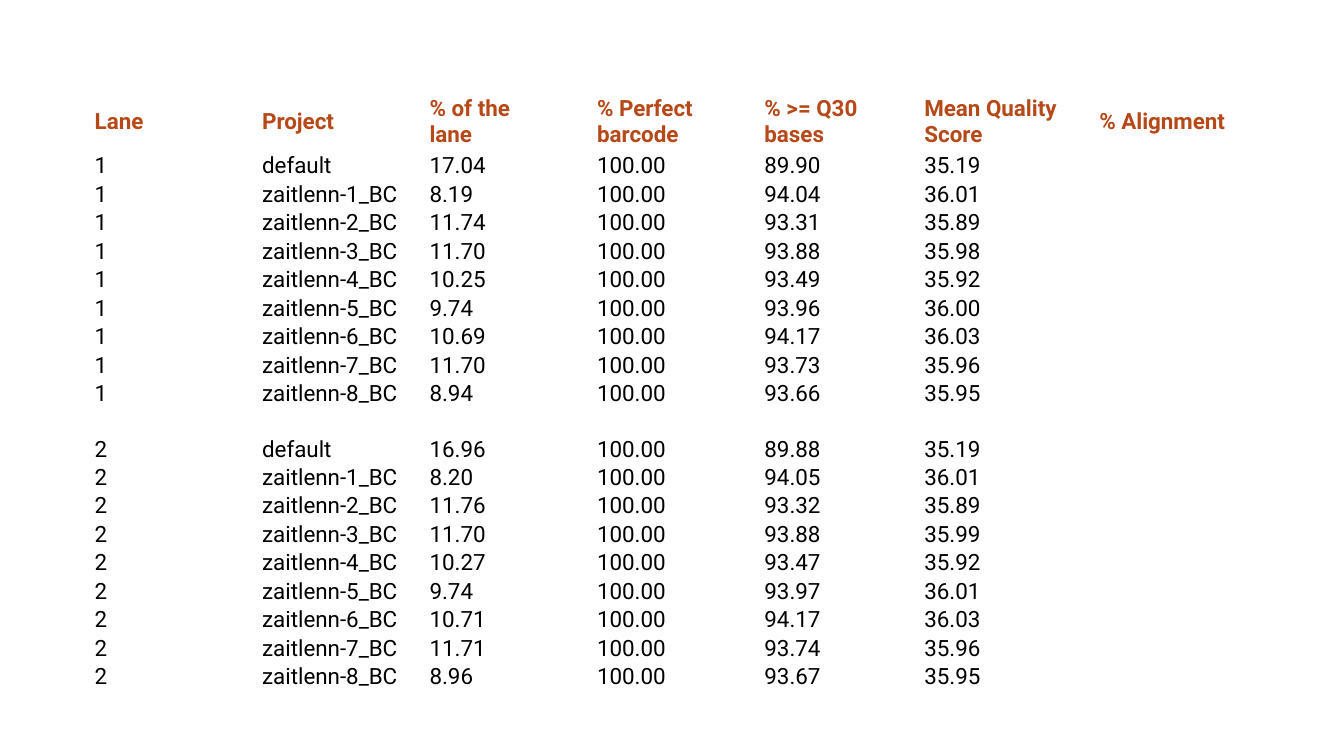
from dataclasses import dataclass

from lxml import etree
from pptx import Presentation
from pptx import util as u
from pptx.dml.color import RGBColor
from pptx.enum import text
from pptx.oxml import ns
from pptx.table import Table, _Cell

RUST = RGBColor(0xB7, 0x49, 0x19)
BLACK = RGBColor(0x00, 0x00, 0x00)
FONT = "Roboto"
NO_STYLE = "{2D5ABB26-0587-4C30-8999-92F81FD0307C}"

# Lengths in percent of the slide's width (columns) or height (rows)
LEFT, TOP = 6.9, 12
COLUMN_WIDTHS = [12.46] * 4 + [11.9, 13.02, 13.02]
HEADER_HEIGHT, LANE_START_HEIGHT, SAMPLE_HEIGHT, GAP_HEIGHT = 8.13, 3.07, 3.77, 3.6

HEADINGS = ["Lane", "Project", "% of the\nlane", "% Perfect\nbarcode",
            "% >= Q30\nbases", "Mean Quality\nScore", "% Alignment"]
PROJECTS = ["default"] + [f"zaitlenn-{number}_BC" for number in range(1, 9)]
PERFECT_BARCODE = "100.00"


@dataclass
class Lane:
    number: str
    shares: list[str]
    q30_bases: list[str]
    quality_scores: list[str]


@dataclass
class TableRow:
    height: float
    values: list[str]
    heading: bool = False


LANES = [
    Lane("1",
         "17.04 8.19 11.74 11.70 10.25 9.74 10.69 11.70 8.94".split(),
         "89.90 94.04 93.31 93.88 93.49 93.96 94.17 93.73 93.66".split(),
         "35.19 36.01 35.89 35.98 35.92 36.00 36.03 35.96 35.95".split()),
    Lane("2",
         "16.96 8.20 11.76 11.70 10.27 9.74 10.71 11.71 8.96".split(),
         "89.88 94.05 93.32 93.88 93.47 93.97 94.17 93.74 93.67".split(),
         "35.19 36.01 35.89 35.99 35.92 36.01 36.03 35.96 35.95".split()),
]


def lane_rows(lane: Lane) -> list[TableRow]:
    samples = zip(PROJECTS, lane.shares, lane.q30_bases, lane.quality_scores)
    return [
        TableRow(SAMPLE_HEIGHT if index else LANE_START_HEIGHT,
                 [lane.number, project, share, PERFECT_BARCODE, q30, score, ""])
        for index, (project, share, q30, score) in enumerate(samples)
    ]


def table_rows() -> list[TableRow]:
    rows = [TableRow(HEADER_HEIGHT, HEADINGS, heading=True)]
    for index, lane in enumerate(LANES):
        if index:
            rows.append(TableRow(GAP_HEIGHT, [""] * len(HEADINGS)))
        rows += lane_rows(lane)
    return rows


def fill_cell(cell: _Cell, value: str, heading: bool) -> None:
    cell.fill.background()
    cell.vertical_anchor = text.MSO_ANCHOR.MIDDLE
    cell.margin_left = cell.margin_right = u.Inches(0.02)
    cell.margin_top = cell.margin_bottom = u.Inches(0.01)
    para = cell.text_frame.paragraphs[0]
    if not value:
        # A small end mark keeps an empty cell from stretching its row
        etree.SubElement(para._p, ns.qn("a:endParaRPr"), sz="1000")
        return
    para.text = value
    for span in para.runs:
        span.font.name = FONT
        span.font.size = u.Pt(16)
        span.font.bold = heading
        span.font.color.rgb = RUST if heading else BLACK


def fill_table(table: Table, rows: list[TableRow], page_width: int, page_height: int) -> None:
    table.first_row = table.horz_banding = False
    table._tbl.tblPr.find(ns.qn("a:tableStyleId")).text = NO_STYLE
    for column, width in zip(table.columns, COLUMN_WIDTHS):
        column.width = u.Emu(round(page_width * width / 100))
    for table_row, row in zip(table.rows, rows):
        table_row.height = u.Emu(round(page_height * row.height / 100))
        for cell, value in zip(table_row.cells, row.values):
            fill_cell(cell, value, row.heading)


def main() -> None:
    deck = Presentation()
    deck.slide_width, deck.slide_height = u.Inches(13.33), u.Inches(7.5)
    page = deck.slides.add_slide(deck.slide_layouts[6])

    # Sequencing quality table
    rows = table_rows()
    width, height = deck.slide_width, deck.slide_height
    frame = page.shapes.add_table(
        len(rows), len(HEADINGS),
        round(width * LEFT / 100), round(height * TOP / 100),
        round(width * sum(COLUMN_WIDTHS) / 100),
        round(height * sum(row.height for row in rows) / 100))
    fill_table(frame.table, rows, width, height)

    deck.save("out.pptx")


if __name__ == "__main__":
    main()
